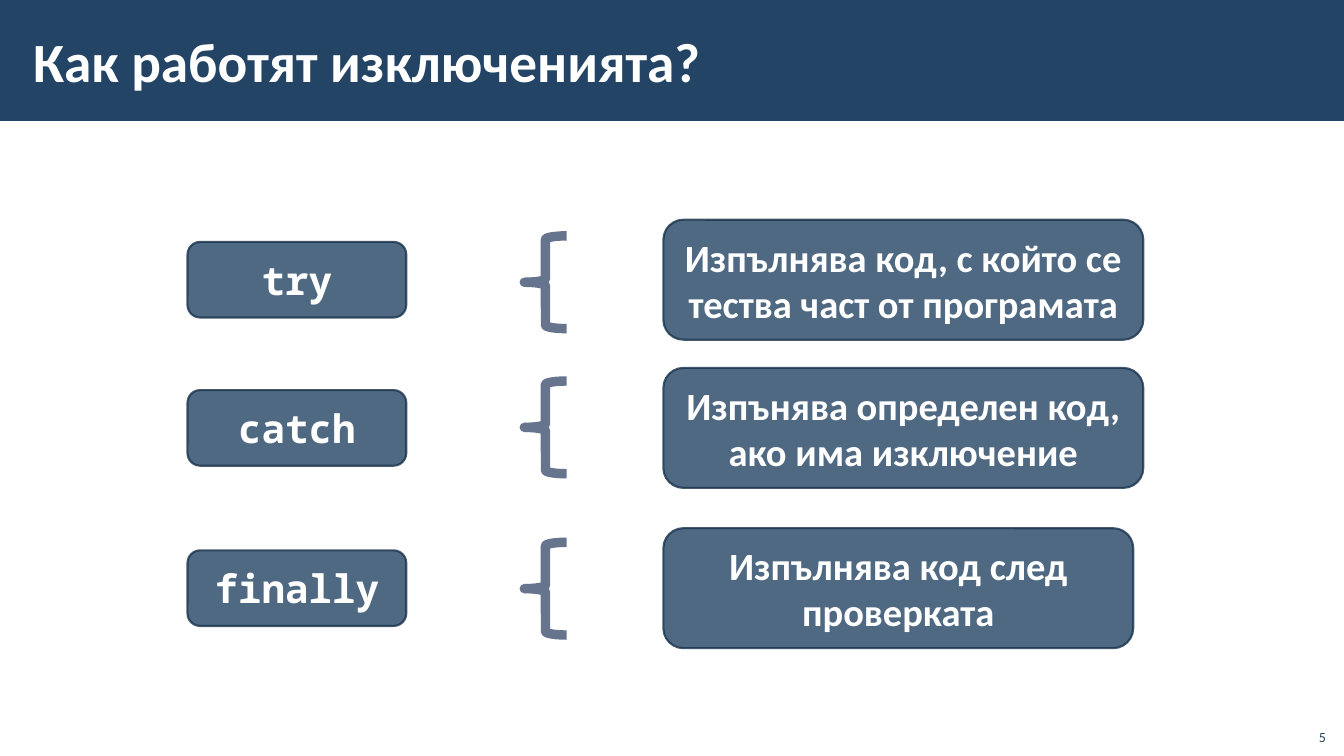
"""Build the slide on how try, catch and finally work."""
from dataclasses import dataclass

from lxml import etree
from pptx import Presentation
from pptx.dml.color import RGBColor
from pptx.enum.shapes import MSO_SHAPE
from pptx.enum.text import MSO_ANCHOR, PP_ALIGN
from pptx.oxml.ns import qn
from pptx.util import Inches, Pt

RECT, ROUNDED, BRACE = MSO_SHAPE.RECTANGLE, MSO_SHAPE.ROUNDED_RECTANGLE, MSO_SHAPE.LEFT_BRACE
MIDDLE, BOTTOM = MSO_ANCHOR.MIDDLE, MSO_ANCHOR.BOTTOM
LEFT, CENTER, RIGHT = PP_ALIGN.LEFT, PP_ALIGN.CENTER, PP_ALIGN.RIGHT


@dataclass(frozen=True)
class Theme:
    navy: RGBColor = RGBColor.from_string("234465")
    outline: RGBColor = RGBColor.from_string("1A334C")
    brace: RGBColor = RGBColor.from_string("67748E")
    white: RGBColor = RGBColor.from_string("FFFFFF")
    alpha: str = "80000"
    body: str = "Calibri"
    mono: str = "Noto Sans Mono"
    title_size: float = 39.5
    keyword_size: float = 28
    detail_size: float = 27.5
    number_size: float = 10


theme = Theme()


def write(sp, text, font, size, color, align, anchor, bold=True):
    tf = sp.text_frame
    tf.word_wrap = True
    tf.vertical_anchor = anchor
    tf.text = text
    p = tf.paragraphs[0]
    p.alignment = align
    r = p.runs[0]
    r.font.name, r.font.size, r.font.bold = font, Pt(size), bold
    r.font.color.rgb = color
    return tf


def add_card(left, top, width, height, text, font, size):
    sp = s.shapes.add_shape(ROUNDED, Inches(left), Inches(top), Inches(width), Inches(height))
    sp.shadow.inherit = False
    sp.fill.solid()
    sp.fill.fore_color.rgb = theme.navy
    sp.line.color.rgb = theme.outline
    sp.line.width = Pt(1.5)
    for color in sp._element.spPr.iter(qn("a:srgbClr")):
        etree.SubElement(color, qn("a:alpha")).set("val", theme.alpha)
    write(sp, text, font, size, theme.white, CENTER, MIDDLE)


prs = Presentation()
prs.slide_width, prs.slide_height = Inches(13.33), Inches(7.5)
s = prs.slides.add_slide(prs.slide_layouts[6])

band = s.shapes.add_shape(RECT, 0, 0, prs.slide_width, Inches(1.2))
band.shadow.inherit = False
band.fill.solid()
band.fill.fore_color.rgb = theme.navy
band.line.fill.background()

title = s.shapes.add_textbox(Inches(0.21), Inches(0.11), Inches(10.63), Inches(0.97))
tf = write(title, "Как работят изключенията?", theme.body, theme.title_size,
           theme.white, LEFT, MIDDLE)
tf.margin_left = tf.margin_right = Inches(0.12)
tf.margin_top = tf.margin_bottom = Inches(0.04)

rows = [
    (2.18, 2.34, 4.76, "try", "Изпълнява код, с който се тества част от програмата"),
    (3.65, 3.78, 4.76, "catch", "Изпънява определен код, ако има изключение"),
    (5.24, 5.38, 4.66, "finally", "Изпълнява код след проверката"),
]
for top, brace_top, width, keyword, detail in rows:
    add_card(1.86, top + 0.22, 2.17, 0.75, keyword, theme.mono, theme.keyword_size)
    add_card(6.58, top, width, 1.19, detail, theme.body, theme.detail_size)
    brace = s.shapes.add_shape(BRACE, Inches(5.2), Inches(brace_top), Inches(0.42), Inches(0.92))
    brace.shadow.inherit = False
    brace.fill.background()
    brace.line.color.rgb = theme.brace
    brace.line.width = Pt(6.75)

number = s.shapes.add_textbox(Inches(12.85), Inches(7.12), Inches(0.4), Inches(0.32))
write(number, "5", theme.body, theme.number_size, theme.navy, RIGHT, BOTTOM, bold=False)

prs.save("out.pptx")
